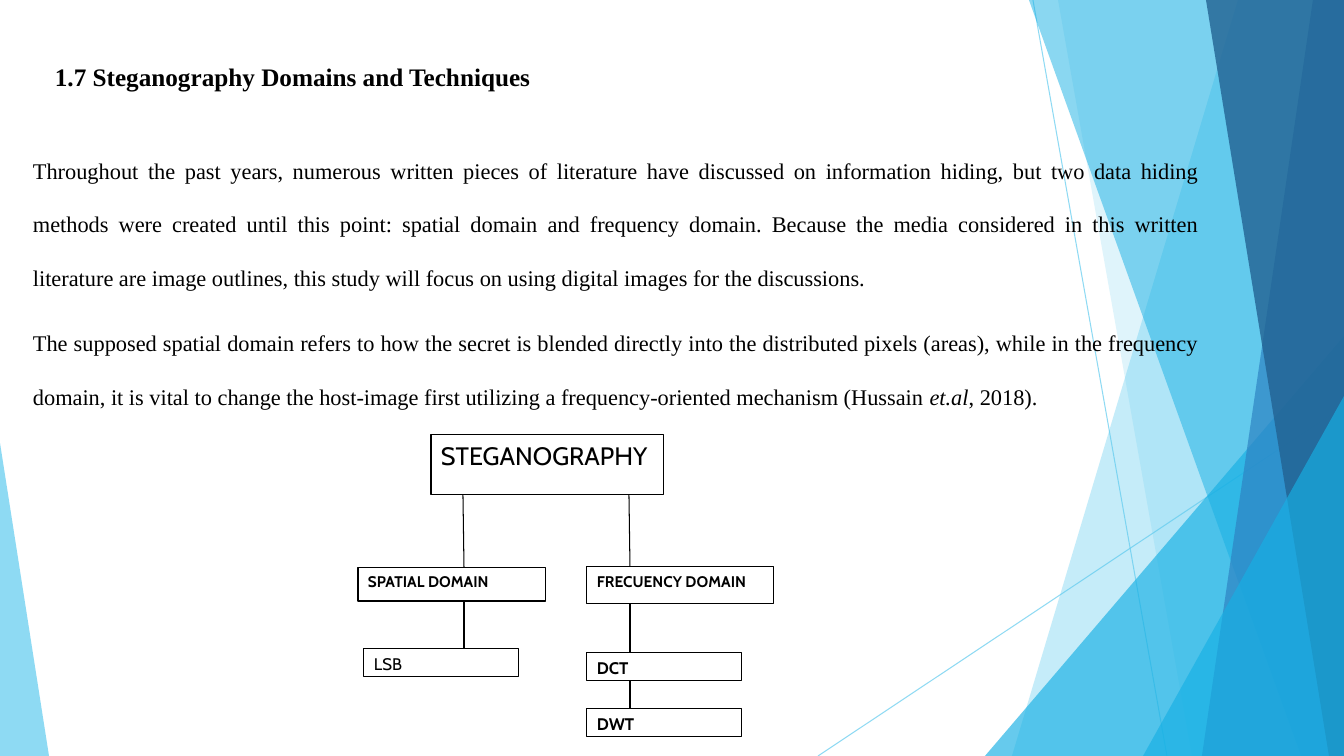
"""Build the slide on steganography domains and techniques."""
from lxml import etree
from pptx import Presentation
from pptx.dml.color import RGBColor
from pptx.enum.shapes import MSO_CONNECTOR, MSO_SHAPE
from pptx.enum.text import MSO_ANCHOR, PP_ALIGN
from pptx.oxml.ns import qn
from pptx.util import Emu, Pt

STRAIGHT = MSO_CONNECTOR.STRAIGHT
RECTANGLE = MSO_SHAPE.RECTANGLE
TRIANGLE = MSO_SHAPE.ISOSCELES_TRIANGLE
TOP = MSO_ANCHOR.TOP
LEFT, JUSTIFY = PP_ALIGN.LEFT, PP_ALIGN.JUSTIFY

BLACK = RGBColor(0x00, 0x00, 0x00)
WHITE = RGBColor(0xFF, 0xFF, 0xFF)
SKY = RGBColor(0x5F, 0xCB, 0xEF)
CYAN = RGBColor(0x17, 0xB0, 0xE4)
BLUE = RGBColor(0x2E, 0x83, 0xC3)
NAVY = RGBColor(0x22, 0x62, 0x92)

SERIF, SANS = "Times New Roman", "Cabin"
WIDTH, HEIGHT = 1344, 756
EMU_PER_PX = 914400 / 100.8

RAYS = [((1033, 0), (1167, HEIGHT)), ((WIDTH, 406), (818, HEIGHT))]

# kind, geometry (panel: top and bottom x; triangle: box and apex), colour, opacity
PANELS = [
    ("panel", (1238, 1012), SKY, 36),
    ("panel", (1058, 1192), SKY, 20),
    ("triangle", (985, 336, 359, 420, 1), CYAN, 66),
    ("panel", (1029, 1301), CYAN, 50),
    ("panel", (1313, 1202), BLUE, 70),
    ("panel", (1206, 1329), NAVY, 80),
    ("triangle", (1143, 396, 201, 360, 1), CYAN, 66),
    ("triangle", (0, 443, 49, 313, 0), SKY, 70),
]

TITLE = "1.7 Steganography Domains and Techniques"
TITLE_BOX = (45, 56, 500, 40)
BODY_BOX = (23, 125, 1186, 365)
BODY = [
    ["Throughout the past years, numerous written pieces of literature have "
     "discussed on information hiding, but two data hiding methods were created "
     "until this point: spatial domain and frequency domain. Because the media "
     "considered in this written literature are image outlines, this study will "
     "focus on using digital images for the discussions."],
    ["The supposed spatial domain refers to how the secret is blended directly "
     "into the distributed pixels (areas), while in the frequency domain, it is "
     "vital to change the host-image first utilizing a frequency-oriented "
     "mechanism (Hussain ", "et.al", ", 2018)."],
]
ITALIC_TEXT = "et.al"

NODES = {
    "STEGANOGRAPHY": ((431, 435, 233, 60), 18, False),
    "SPATIAL DOMAIN": ((358, 567, 188, 34), 11, True),
    "FRECUENCY DOMAIN": ((587, 567, 187, 37), 11, True),
    "LSB": ((364, 649, 155, 28), 12, False),
    "DCT": ((587, 653, 155, 28), 12, True),
    "DWT": ((587, 709, 155, 28), 12, True),
}
LINKS = [
    ("STEGANOGRAPHY", "SPATIAL DOMAIN", 463, 464),
    ("STEGANOGRAPHY", "FRECUENCY DOMAIN", 629, 630),
    ("SPATIAL DOMAIN", "LSB", 464, 464),
    ("FRECUENCY DOMAIN", "DCT", 630, 630),
    ("DCT", "DWT", 630, 630),
]


def px(*lengths):
    return [Emu(round(length * EMU_PER_PX)) for length in lengths]


def set_opacity(shape, percent):
    for colour in shape._element.spPr.iter(qn("a:srgbClr")):
        etree.SubElement(colour, qn("a:alpha")).set("val", str(percent * 1000))


def add_line(slide, start, end, colour):
    line = slide.shapes.add_connector(STRAIGHT, *px(*start, *end))
    line.line.color.rgb = colour
    line.line.width = Pt(0.75)
    etree.SubElement(line._element.spPr, qn("a:effectLst"))
    return line


def add_panel(slide, kind, geometry, colour, opacity):
    if kind == "panel":
        top_x, bottom_x = geometry
        builder = slide.shapes.build_freeform(top_x, 0, scale=EMU_PER_PX)
        builder.add_line_segments([(WIDTH, 0), (WIDTH, HEIGHT), (bottom_x, HEIGHT)])
        shape = builder.convert_to_shape()
    else:
        *box, apex = geometry
        shape = slide.shapes.add_shape(TRIANGLE, *px(*box))
        shape.adjustments[0] = apex
    shape.shadow.inherit = False
    shape.fill.solid()
    shape.fill.fore_color.rgb = colour
    shape.line.fill.background()
    set_opacity(shape, opacity)


def format_run(run, name, size, bold=False, italic=False):
    run.font.name = name
    run.font.size = Pt(size)
    run.font.bold = bold
    run.font.italic = italic
    run.font.color.rgb = BLACK


def add_body(slide):
    text_frame = slide.shapes.add_textbox(*px(*BODY_BOX)).text_frame
    text_frame.word_wrap = True
    for index, pieces in enumerate(BODY):
        paragraph = text_frame.add_paragraph() if index else text_frame.paragraphs[0]
        paragraph.alignment = JUSTIFY
        paragraph.line_spacing = 2.0
        paragraph.space_after = Pt(8)
        for piece in pieces:
            run = paragraph.add_run()
            run.text = piece
            format_run(run, SERIF, 16, italic=piece == ITALIC_TEXT)


def add_title(slide):
    text_frame = slide.shapes.add_textbox(*px(*TITLE_BOX)).text_frame
    text_frame.word_wrap = False
    text_frame.text = TITLE
    format_run(text_frame.paragraphs[0].runs[0], SERIF, 18, bold=True)


def add_node(slide, label, box, size, bold):
    shape = slide.shapes.add_shape(RECTANGLE, *px(*box))
    shape.shadow.inherit = False
    shape.fill.solid()
    shape.fill.fore_color.rgb = WHITE
    shape.line.color.rgb = BLACK
    shape.line.width = Pt(0.75)
    text_frame = shape.text_frame
    text_frame.vertical_anchor = TOP
    text_frame.text = label
    paragraph = text_frame.paragraphs[0]
    paragraph.alignment = LEFT
    format_run(paragraph.runs[0], SANS, size, bold)


def main():
    presentation = Presentation()
    presentation.slide_width, presentation.slide_height = px(WIDTH, HEIGHT)
    slide = presentation.slides.add_slide(presentation.slide_layouts[6])

    for start, end in RAYS:
        set_opacity(add_line(slide, start, end, SKY), 70)
    for panel in PANELS:
        add_panel(slide, *panel)

    add_body(slide)
    for label, (box, size, bold) in NODES.items():
        add_node(slide, label, box, size, bold)
    for parent, child, start_x, end_x in LINKS:
        _, parent_top, _, parent_height = NODES[parent][0]
        child_top = NODES[child][0][1]
        add_line(slide, (start_x, parent_top + parent_height), (end_x, child_top), BLACK)
    add_title(slide)

    presentation.save("out.pptx")


if __name__ == "__main__":
    main()
